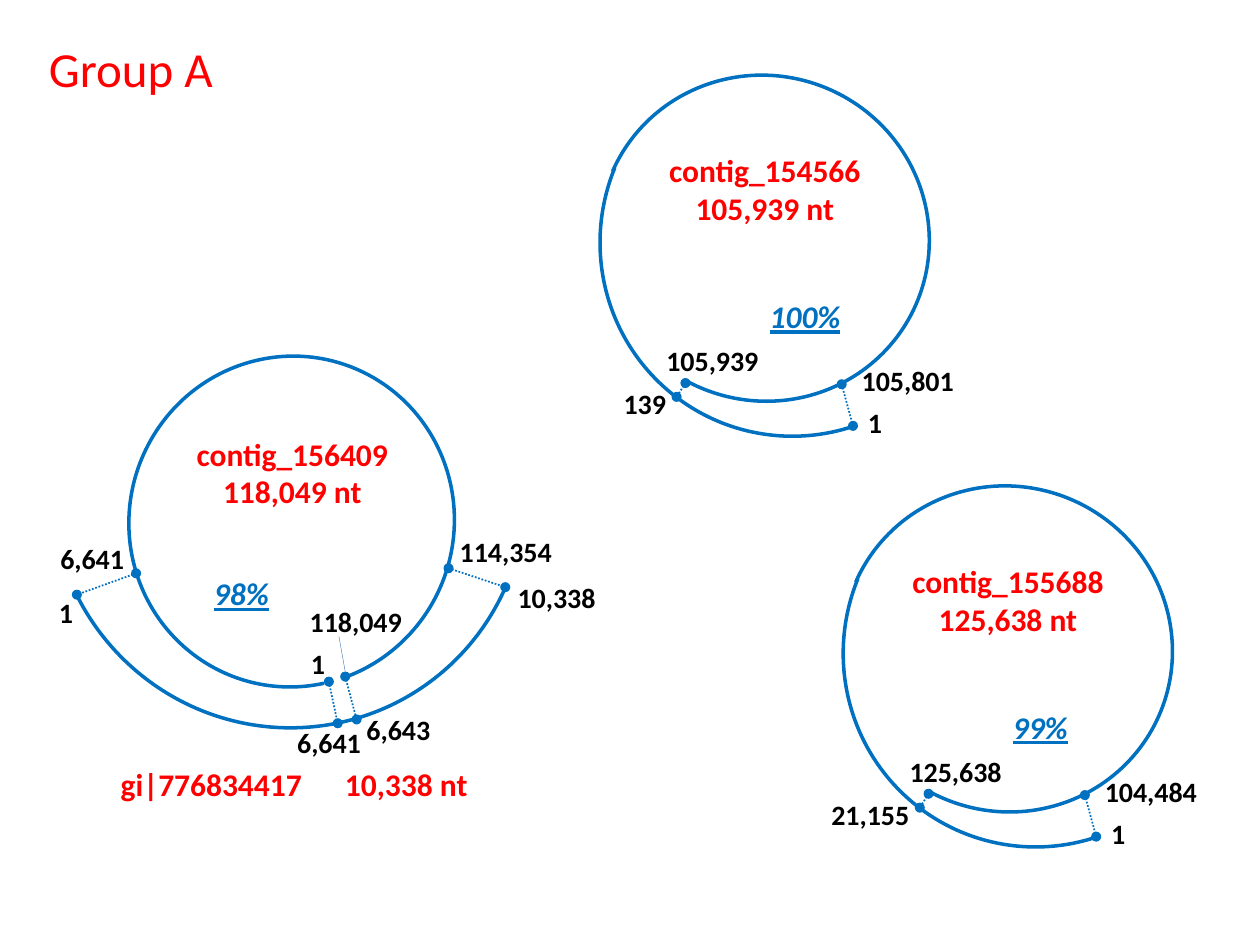
from dataclasses import dataclass

from lxml import etree
from pptx import Presentation
from pptx.dml.color import RGBColor as RGB
from pptx.enum.dml import MSO_LINE as Dash
from pptx.enum.shapes import MSO_CONNECTOR as Link, MSO_SHAPE as Shape
from pptx.enum.text import MSO_AUTO_SIZE as AutoSize, PP_ALIGN as Align
from pptx.oxml.ns import qn
from pptx.util import Inches, Pt

SLIDE_W, SLIDE_H = 10, 7.5
COLUMNS = 100  # square cells: 100 columns by 75 rows
CELL = SLIDE_W / COLUMNS
DOT = 0.8
OUTER_SWEEP = (162.93, 24.9)


@dataclass(frozen=True)
class Theme:
    font: str = "Calibri"
    red: RGB = RGB(0xFF, 0x00, 0x00)
    blue: RGB = RGB(0x00, 0x70, 0xC0)
    black: RGB = RGB(0x00, 0x00, 0x00)
    leader: RGB = RGB(0x4B, 0x7E, 0xBC)
    title: int = 28
    name: int = 18
    position: int = 16


THEME = Theme()


def cells(count):
    return Inches(count * CELL)


@dataclass(frozen=True)
class Region:
    """Part of the slide; all lengths are in grid cells from its corner."""
    shapes: object
    column: float
    row: float

    def place(self, x, y):
        return cells(self.column + x), cells(self.row + y)


def write(region, text, x, y, width, height, size=THEME.name, color=THEME.red,
          bold=True, italic=False, underline=False, align=Align.LEFT,
          wrap=False, tab=None):
    box = region.shapes.add_textbox(*region.place(x, y), cells(width), cells(height))
    frame = box.text_frame
    frame.word_wrap = wrap
    frame.auto_size = AutoSize.SHAPE_TO_FIT_TEXT
    for index, line in enumerate(text.split("\n")):
        paragraph = frame.add_paragraph() if index else frame.paragraphs[0]
        paragraph.alignment = align
        run = paragraph.add_run()
        run.text = line
        font = run.font
        font.name, font.size = THEME.font, Pt(size)
        font.bold, font.italic, font.underline = bold, italic, underline
        font.color.rgb = color
        if tab:
            stops = etree.SubElement(paragraph._p.get_or_add_pPr(), qn("a:tabLst"))
            etree.SubElement(stops, qn("a:tab"), pos=str(cells(tab)), algn="l")


def add_arc(region, x, y, width, height, rotation, sweep):
    arc = region.shapes.add_shape(
        Shape.ARC, *region.place(x, y), cells(width), cells(height))
    arc.shadow.inherit = False
    arc.adjustments[0], arc.adjustments[1] = sweep
    arc.rotation = rotation
    arc._element.spPr.xfrm.set("flipH", "1")
    arc.fill.background()
    arc.line.color.rgb = THEME.blue
    arc.line.width = Pt(2)


def add_line(region, start, end, color, width, dash=None):
    line = region.shapes.add_connector(
        Link.STRAIGHT, *region.place(*start), *region.place(*end))
    line.line.color.rgb = color
    line.line.width = Pt(width)
    if dash:
        line.line.dash_style = dash
    etree.SubElement(line._element.spPr, qn("a:effectLst"))


def add_match(region, start, end):
    """Dotted tie between two aligned positions, with a dot on each."""
    add_line(region, start, end, THEME.blue, 1, Dash.ROUND_DOT)
    for x, y in (start, end):
        dot = region.shapes.add_shape(
            Shape.OVAL, *region.place(x - DOT / 2, y - DOT / 2),
            cells(DOT), cells(DOT))
        dot.shadow.inherit = False
        dot.fill.solid()
        dot.fill.fore_color.rgb = THEME.blue
        dot.line.fill.background()


def add_position(region, text, x, y, from_right=False):
    commas = text.count(",")
    width = 2.1 + 1.13 * (len(text) - commas) + 0.55 * commas
    write(region, text, x - width if from_right else x, y, width, 3.7,
          size=THEME.position, color=THEME.black)


def add_identity(region, percent, x, y):
    write(region, percent, x, y, 2.6 + 1.27 * len(percent), 4, color=THEME.blue,
          italic=True, underline=True)


def add_contig_name(region, name, length, x, y):
    write(region, f"{name}\n{length} nt", x, y, 17.4, 7.1, align=Align.CENTER)


def title(region):
    write(region, "Group A", 0, 0, 22.1, 5.7, size=THEME.title, bold=False, wrap=True)


def bridged_contig(region):
    """Contig closed by a second sequence that spans its two ends."""
    add_arc(region, 0.2, 0, 38, 37.6, 245.5, OUTER_SWEEP)
    add_arc(region, 6.3, 8.5, 26.3, 25.8, 286.5, (20.59, 16.69))

    for start, end in (((7.1, 25.5), (2.4, 27.2)), ((22.4, 34.1), (23.1, 37.4)),
                       ((23.7, 33.7), (24.6, 37.1)), ((31.9, 25.1), (36.4, 26.6))):
        add_match(region, start, end)
    add_line(region, (23.2, 30.5), (23.7, 33.3), THEME.leader, 0.25)

    # Positions on the contig, then on the bridging sequence
    for text, x, y in (("6,641", 0.1, 22.5), ("1", 20, 30.8),
                       ("118,049", 19.9, 27.5), ("114,354", 31.8, 21.9),
                       ("1", 0, 26.8), ("6,641", 18.9, 37.1),
                       ("6,643", 24.4, 36.1), ("10,338", 36.4, 25.6)):
        add_position(region, text, x, y)

    add_identity(region, "98%", 12.3, 25.1)
    add_contig_name(region, "contig_156409", "118,049", 10.8, 14)
    write(region, "gi|776834417\t10,338 nt", 4.9, 40.2, 33, 4, wrap=True, tab=17.8)


def overlapping_contig(region, name, length, overlap_end, overlap_start, identity):
    """Contig whose two ends overlap."""
    add_arc(region, 0, 2.2, 26.3, 25.8, 23.8, (51.45, 0))
    add_arc(region, 0, 0, 31, 30.7, 293.8, OUTER_SWEEP)

    add_match(region, (6.9, 26.6), (6.2, 27.7))
    add_match(region, (19.3, 26.7), (20.2, 30))

    add_position(region, overlap_start, 19.9, 24.6)
    add_position(region, length, 4.4, 23)
    add_position(region, overlap_end, 6.5, 26.4, from_right=True)
    add_position(region, "1", 20.4, 27.9)

    add_identity(region, identity, 12.6, 19.3)
    add_contig_name(region, name, length, 4.5, 7.7)


def main():
    deck = Presentation()
    deck.slide_width, deck.slide_height = Inches(SLIDE_W), Inches(SLIDE_H)
    shapes = deck.slides.add_slide(deck.slide_layouts[6]).shapes

    title(Region(shapes, 2.9, 2.6))
    bridged_contig(Region(shapes, 3.7, 20))
    overlapping_contig(Region(shapes, 66.8, 36.4), "contig_155688", "125,638",
                       "21,155", "104,484", "99%")
    overlapping_contig(Region(shapes, 47.5, 3.8), "contig_154566", "105,939",
                       "139", "105,801", "100%")

    deck.save("out.pptx")


if __name__ == "__main__":
    main()
